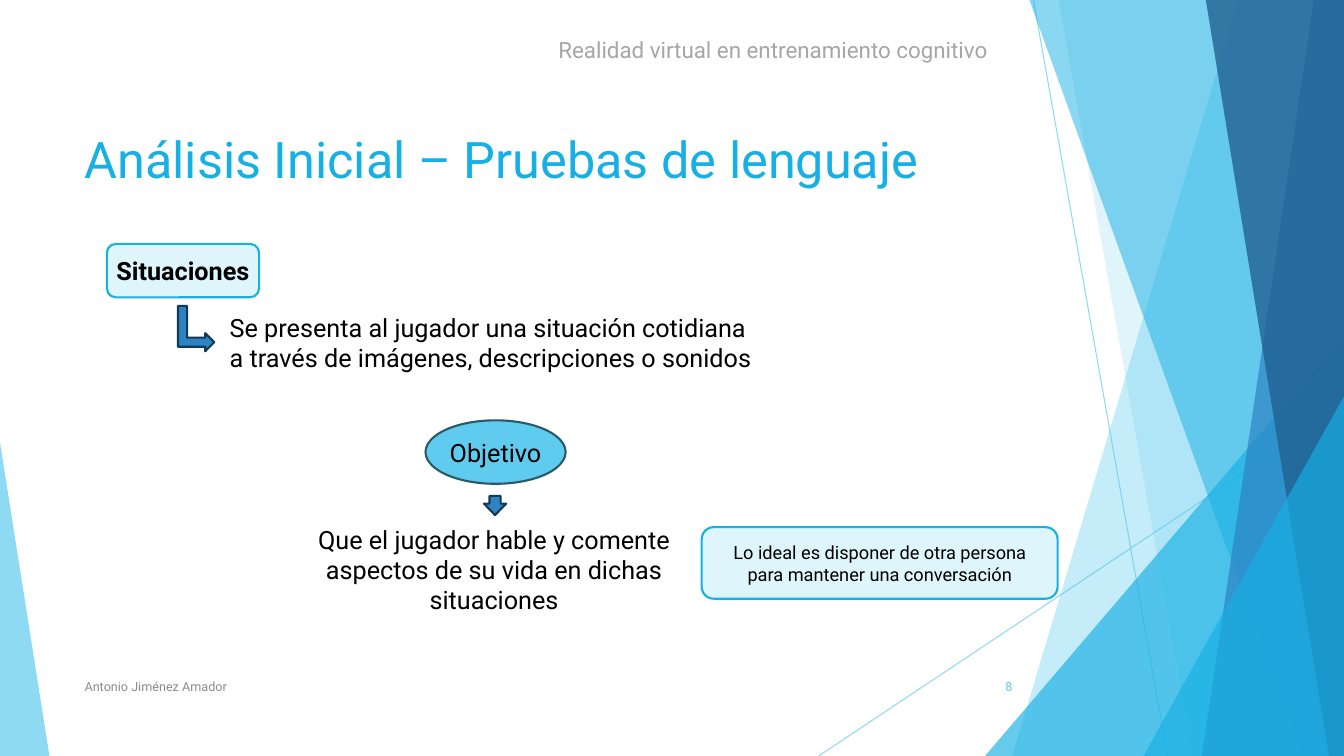
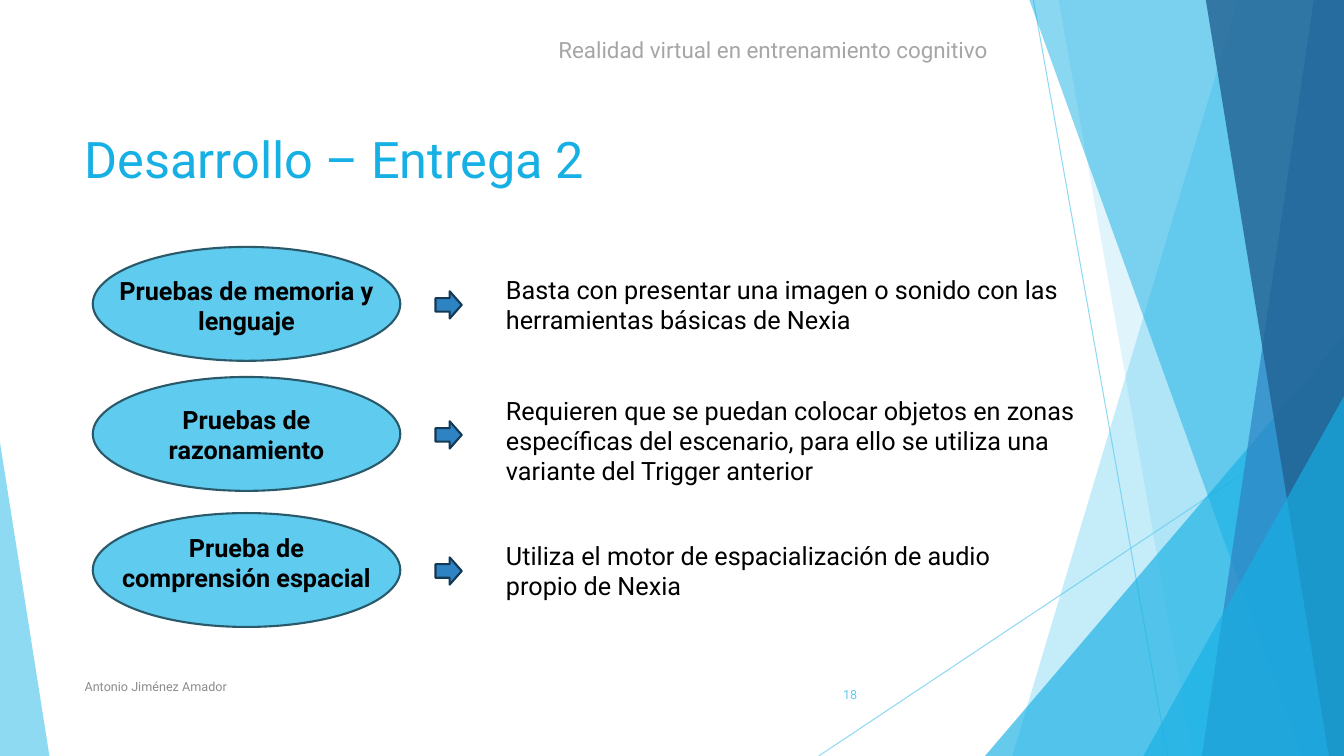
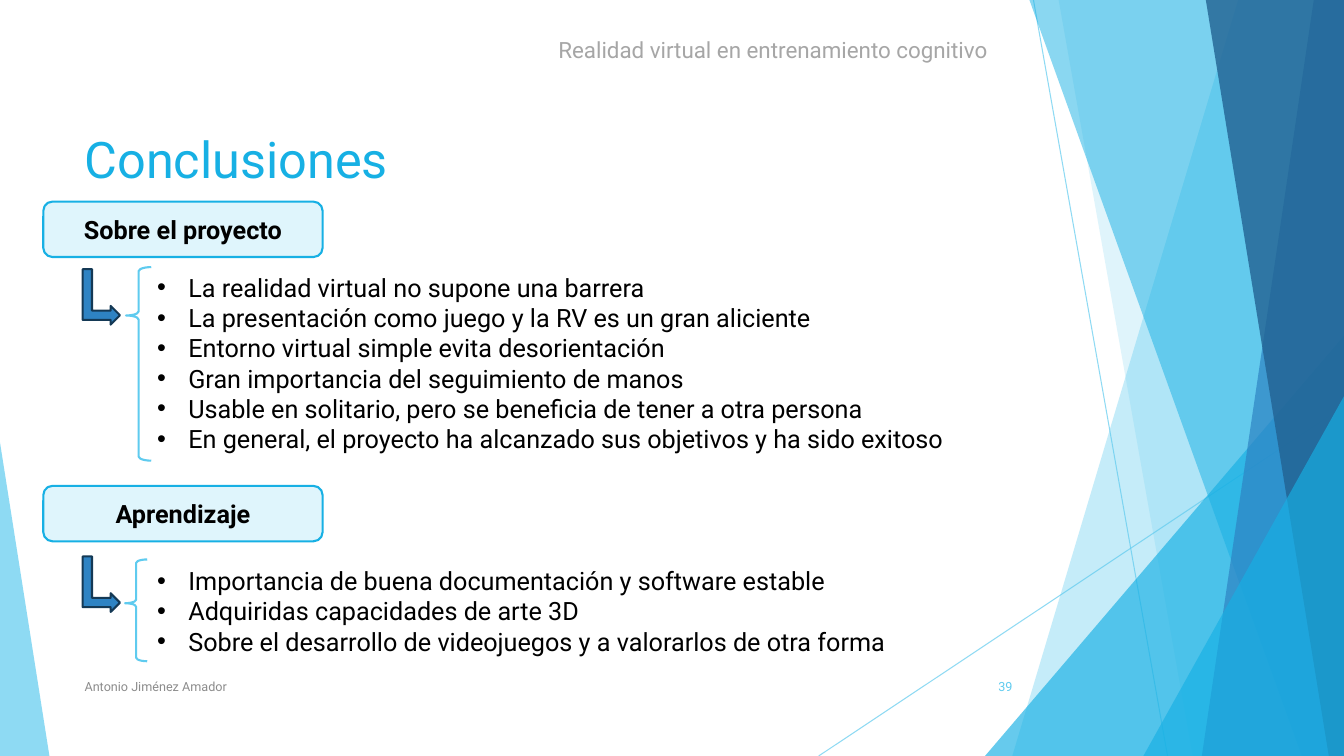
from dataclasses import dataclass
from typing import NamedTuple, Optional, Sequence

from lxml.etree import SubElement
from pptx import Presentation
from pptx.dml.color import RGBColor
from pptx.enum.shapes import MSO_CONNECTOR, MSO_SHAPE
from pptx.enum.text import MSO_ANCHOR, PP_ALIGN
from pptx.oxml.ns import qn
from pptx.shapes.autoshape import Shape
from pptx.slide import Slide
from pptx.text.text import TextFrame
from pptx.util import Inches, Length, Pt


# Theme
@dataclass(frozen=True)
class Theme:
    font: str = "Roboto"
    sky: RGBColor = RGBColor(0x5F, 0xCB, 0xEF)
    cyan: RGBColor = RGBColor(0x17, 0xB0, 0xE4)
    blue: RGBColor = RGBColor(0x2E, 0x83, 0xC3)
    navy: RGBColor = RGBColor(0x22, 0x62, 0x92)
    pale: RGBColor = RGBColor(0xDF, 0xF5, 0xFC)
    arrow_edge: RGBColor = RGBColor(0x14, 0x39, 0x55)
    oval_edge: RGBColor = RGBColor(0x2A, 0x59, 0x69)
    ink: RGBColor = RGBColor(0, 0, 0)
    header_grey: RGBColor = RGBColor(0xA6, 0xA6, 0xA6)
    footer_grey: RGBColor = RGBColor(0x8C, 0x8C, 0x8C)
    title: Length = Pt(36)
    body: Length = Pt(18)
    header: Length = Pt(16)
    remark: Length = Pt(13)
    footer: Length = Pt(9)
    outline: Length = Pt(1.5)
    hairline: Length = Pt(0.75)


THEME = Theme()
WIDTH, HEIGHT = 13.33, 7.5


class Box(NamedTuple):
    left: float
    top: float
    width: float
    height: float

    def lengths(self) -> list[Length]:
        return [Inches(value) for value in self]


@dataclass(frozen=True)
class TextStyle:
    size: Length = THEME.body
    color: RGBColor = THEME.ink
    bold: bool = False
    align: PP_ALIGN = PP_ALIGN.LEFT
    anchor: MSO_ANCHOR = MSO_ANCHOR.TOP
    bullet: bool = False


BODY = TextStyle()
BULLETS = TextStyle(bullet=True)
CENTERED = TextStyle(align=PP_ALIGN.CENTER)
LABEL = TextStyle(bold=True, align=PP_ALIGN.CENTER)
REMARK = TextStyle(size=THEME.remark, align=PP_ALIGN.CENTER)
TITLE = TextStyle(THEME.title, THEME.cyan)
HEADER = TextStyle(THEME.header, THEME.header_grey)
AUTHOR = TextStyle(THEME.footer, THEME.footer_grey, anchor=MSO_ANCHOR.MIDDLE)
NUMBER = TextStyle(THEME.footer, THEME.sky, align=PP_ALIGN.RIGHT, anchor=MSO_ANCHOR.MIDDLE)


# Background parts, back to front
class Band(NamedTuple):
    """Strip from the slide's right edge to a slanted left edge."""
    top_x: float
    bottom_x: float
    color: RGBColor
    percent: int


class Wedge(NamedTuple):
    box: Box
    apex: float
    color: RGBColor
    percent: int


class Ray(NamedTuple):
    x1: float
    y1: float
    x2: float
    y2: float


RAYS = [Ray(10.25, 0, 11.58, HEIGHT), Ray(WIDTH, 4.03, 8.12, HEIGHT)]
BACKGROUND = [
    Band(12.28, 10.04, THEME.sky, 36),
    Band(10.5, 11.83, THEME.sky, 20),
    Wedge(Box(9.77, 3.33, 3.56, 4.17), 1, THEME.cyan, 66),
    Band(10.21, 12.91, THEME.cyan, 50),
    Band(13.03, 11.92, THEME.blue, 70),
    Band(11.96, 13.18, THEME.navy, 80),
    Wedge(Box(11.34, 3.93, 1.99, 3.57), 1, THEME.cyan, 66),
    Wedge(Box(0, 4.39, 0.49, 3.11), 0, THEME.sky, 70),
]


# Drawing helpers
def set_opacity(element, percent: int) -> None:
    for color in element.spPr.iter(qn("a:srgbClr")):
        SubElement(color, qn("a:alpha"), val=str(percent * 1000))


def paint(shape: Shape, fill: Optional[RGBColor], edge: Optional[RGBColor] = None) -> None:
    shape.shadow.inherit = False
    if fill is None:
        shape.fill.background()
    else:
        shape.fill.solid()
        shape.fill.fore_color.rgb = fill
    if edge is None:
        shape.line.fill.background()
    else:
        shape.line.color.rgb = edge
        shape.line.width = THEME.outline


def add_preset(slide: Slide, kind: MSO_SHAPE, box: Box, fill: Optional[RGBColor],
               edge: Optional[RGBColor] = None, adjust: Sequence[float] = ()) -> Shape:
    shape = slide.shapes.add_shape(kind, *box.lengths())
    paint(shape, fill, edge)
    for index, value in enumerate(adjust):
        shape.adjustments[index] = value
    return shape


def write(frame: TextFrame, lines: Sequence[str], style: TextStyle) -> None:
    frame.word_wrap = True
    frame.vertical_anchor = style.anchor
    for index, line in enumerate(lines):
        paragraph = frame.add_paragraph() if index else frame.paragraphs[0]
        paragraph.text = line
        paragraph.alignment = style.align
        if style.bullet:
            properties = paragraph._p.get_or_add_pPr()
            properties.set("marL", str(Inches(0.31)))
            properties.set("indent", str(-Inches(0.31)))
            SubElement(properties, qn("a:buFont"), typeface="Arial")
            SubElement(properties, qn("a:buChar"), char="•")
        font = paragraph.font
        font.name, font.size, font.bold = THEME.font, style.size, style.bold
        font.color.rgb = style.color


def add_text(slide: Slide, box: Box, style: TextStyle, *lines: str) -> None:
    write(slide.shapes.add_textbox(*box.lengths()).text_frame, lines, style)


def label_shape(shape: Shape, text: str, style: TextStyle, inset: float = 0) -> None:
    frame = shape.text_frame
    frame.margin_left = frame.margin_right = Inches(inset)
    frame.margin_top = frame.margin_bottom = 0
    write(frame, [text], style)
    frame.vertical_anchor = MSO_ANCHOR.MIDDLE


def add_card(slide: Slide, box: Box, text: str, style: TextStyle = LABEL,
             inset: float = 0) -> None:
    card = add_preset(slide, MSO_SHAPE.ROUNDED_RECTANGLE, box, THEME.pale, THEME.cyan)
    label_shape(card, text, style, inset)


def add_oval(slide: Slide, box: Box) -> Shape:
    return add_preset(slide, MSO_SHAPE.OVAL, box, THEME.sky, THEME.oval_edge)


def add_arrow(slide: Slide, kind: MSO_SHAPE, box: Box, adjust: Sequence[float] = ()) -> Shape:
    return add_preset(slide, kind, box, THEME.blue, THEME.arrow_edge, adjust)


def add_elbow_arrow(slide: Slide, box: Box) -> None:
    add_arrow(slide, MSO_SHAPE.BENT_UP_ARROW, box).rotation = 90


# Shared slide frame
def add_background(slide: Slide) -> None:
    for ray in RAYS:
        line = slide.shapes.add_connector(
            MSO_CONNECTOR.STRAIGHT, *[Inches(value) for value in ray])
        line.line.color.rgb = THEME.sky
        line.line.width = THEME.hairline
        set_opacity(line.element, 70)
        SubElement(line.element.spPr, qn("a:effectLst"))
    for part in BACKGROUND:
        if isinstance(part, Wedge):
            shape = add_preset(slide, MSO_SHAPE.ISOSCELES_TRIANGLE, part.box, part.color,
                               adjust=[part.apex])
        else:
            outline = slide.shapes.build_freeform(Inches(part.top_x), 0)
            corners = [(WIDTH, 0), (WIDTH, HEIGHT), (part.bottom_x, HEIGHT)]
            outline.add_line_segments([(Inches(x), Inches(y)) for x, y in corners])
            shape = outline.convert_to_shape()
            paint(shape, part.color)
        set_opacity(shape.element, part.percent)


def start_slide(deck, title: str, number: int,
                number_box: Box = Box(9.39, 6.61, 0.75, 0.4)) -> Slide:
    slide = deck.slides.add_slide(deck.slide_layouts[6])
    add_background(slide)
    add_text(slide, Box(0.74, 1.22, 9.4, 0.89), TITLE, title)
    add_text(slide, Box(0.74, 6.61, 6.89, 0.4), AUTHOR, "Antonio Jiménez Amador")
    add_text(slide, number_box, NUMBER, str(number))
    add_text(slide, Box(5.44, 0.31, 5.34, 0.37), HEADER,
             "Realidad virtual en entrenamiento cognitivo")
    return slide


# Slide: language tests
def build_language(deck) -> None:
    slide = start_slide(deck, "Análisis Inicial – Pruebas de lenguaje", 8)
    add_card(slide, Box(1.06, 2.42, 1.51, 0.53), "Situaciones")
    add_elbow_arrow(slide, Box(1.72, 3.08, 0.45, 0.36))
    add_text(slide, Box(2.18, 3.05, 5.45, 0.71), BODY,
             "Se presenta al jugador una situación cotidiana a través de imágenes, "
             "descripciones o sonidos")
    goal = add_oval(slide, Box(4.22, 4.17, 1.39, 0.63))
    label_shape(goal, "Objetivo", CENTERED)
    add_arrow(slide, MSO_SHAPE.DOWN_ARROW, Box(4.8, 4.92, 0.22, 0.19), (0.5, 0.6))
    add_text(slide, Box(3.04, 5.15, 3.72, 1.01), CENTERED,
             "Que el jugador hable y comente aspectos de su vida en dichas situaciones")
    add_card(slide, Box(6.96, 5.23, 3.53, 0.71),
             "Lo ideal es disponer de otra persona para mantener una conversación",
             REMARK, inset=0.25)


# Slide: second delivery
class TestRow(NamedTuple):
    top: float
    name: str
    name_top: float
    detail: str
    detail_box: Box


TEST_ROWS = [
    TestRow(2.45, "Pruebas de memoria y lenguaje", 2.68,
            "Basta con presentar una imagen o sonido con las herramientas básicas de Nexia",
            Box(4.92, 2.67, 5.94, 0.71)),
    TestRow(3.74, "Pruebas de razonamiento", 3.96,
            "Requieren que se puedan colocar objetos en zonas específicas del escenario, "
            "para ello se utiliza una variante del Trigger anterior",
            Box(4.92, 3.87, 5.94, 1.01)),
    TestRow(5.09, "Prueba de comprensión espacial", 5.23,
            "Utiliza el motor de espacialización de audio propio de Nexia",
            Box(4.92, 5.31, 5.39, 0.71)),
]


def build_delivery(deck) -> None:
    slide = start_slide(deck, "Desarrollo – Entrega 2", 18, Box(7.85, 6.69, 0.75, 0.4))
    for row in TEST_ROWS:
        add_oval(slide, Box(0.92, row.top, 3.05, 1.13))
        add_text(slide, Box(1.08, row.name_top, 2.73, 0.71), LABEL, row.name)
        add_arrow(slide, MSO_SHAPE.RIGHT_ARROW, Box(4.32, row.top + 0.44, 0.26, 0.27),
                  (0.5, 0.46))
        add_text(slide, row.detail_box, BODY, row.detail)


# Slide: conclusions
class Findings(NamedTuple):
    heading: str
    heading_top: float
    arrow_top: float
    brace: Box
    brace_adjust: tuple[float, float]
    list_box: Box
    points: tuple[str, ...]


FINDINGS = [
    Findings("Sobre el proyecto", 2, 2.76, Box(1.25, 2.65, 0.25, 1.92), (0.16, 0.25),
             Box(1.46, 2.65, 8.37, 1.92), (
                 "La realidad virtual no supone una barrera",
                 "La presentación como juego y la RV es un gran aliciente",
                 "Entorno virtual simple evita desorientación",
                 "Gran importancia del seguimiento de manos",
                 "Usable en solitario, pero se beneficia de tener a otra persona",
                 "En general, el proyecto ha alcanzado sus objetivos y ha sido exitoso")),
    Findings("Aprendizaje", 4.82, 5.61, Box(1.24, 5.55, 0.22, 1.01), (0.16, 0.43),
             Box(1.46, 5.56, 8.61, 1.01), (
                 "Importancia de buena documentación y software estable",
                 "Adquiridas capacidades de arte 3D",
                 "Sobre el desarrollo de videojuegos y a valorarlos de otra forma")),
]


def build_conclusions(deck) -> None:
    slide = start_slide(deck, "Conclusiones", 39)
    for part in FINDINGS:
        add_card(slide, Box(0.43, part.heading_top, 2.77, 0.55), part.heading)
        add_elbow_arrow(slide, Box(0.73, part.arrow_top, 0.55, 0.37))
        add_preset(slide, MSO_SHAPE.LEFT_BRACE, part.brace, None, THEME.sky, part.brace_adjust)
        add_text(slide, part.list_box, BULLETS, *part.points)


def main() -> None:
    deck = Presentation()
    deck.slide_width, deck.slide_height = Inches(WIDTH), Inches(HEIGHT)
    build_language(deck)
    build_delivery(deck)
    build_conclusions(deck)
    deck.save("out.pptx")


if __name__ == "__main__":
    main()
